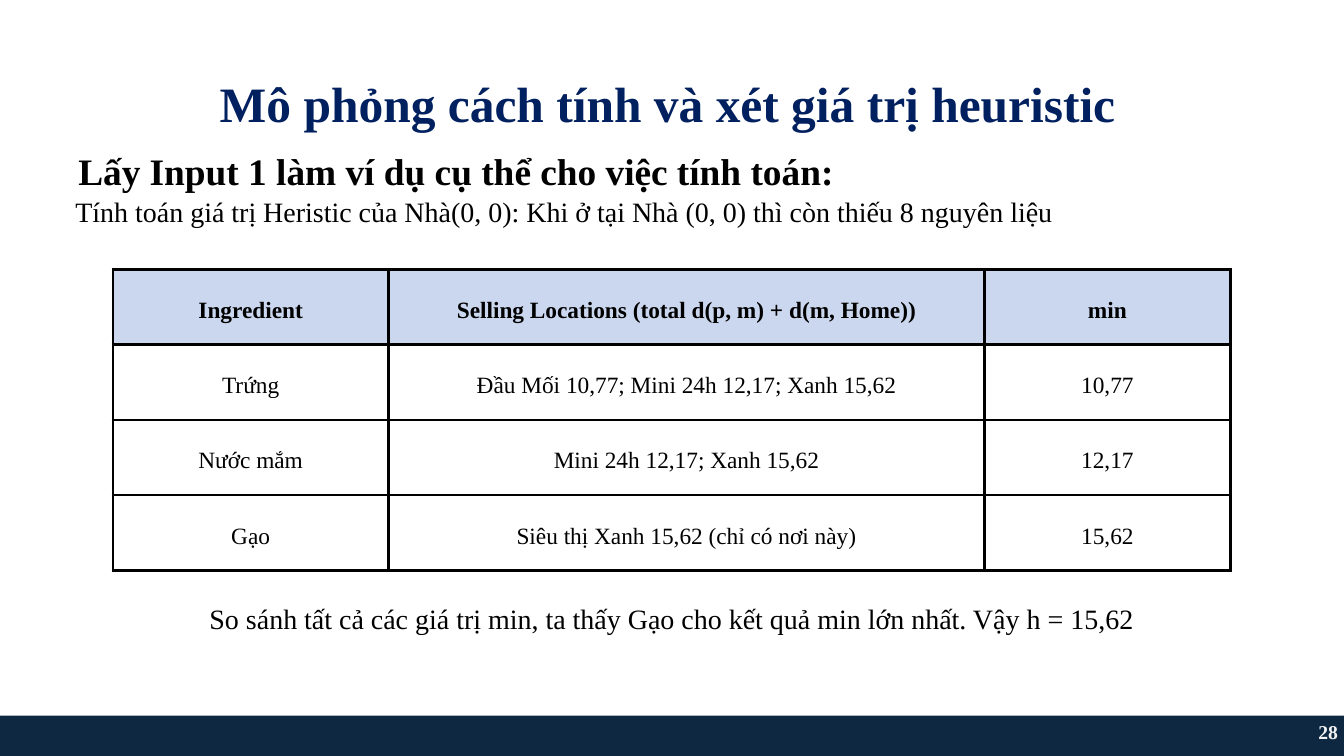
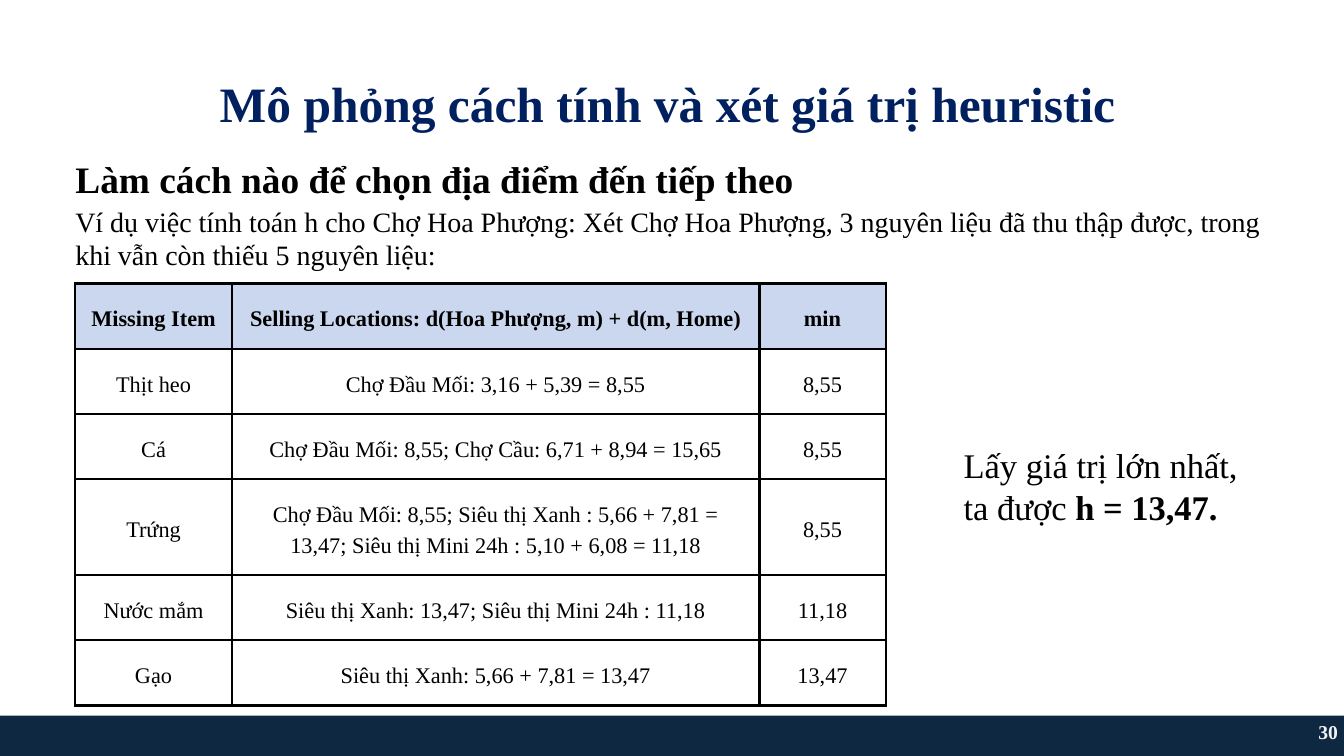
"""Build two slides that work through the heuristic values with tables."""
from lxml import etree
from pptx import Presentation
from pptx.dml.color import RGBColor
from pptx.enum.shapes import MSO_SHAPE
from pptx.enum.text import MSO_ANCHOR, PP_ALIGN
from pptx.oxml import parse_xml
from pptx.util import Inches, Pt

LEFT, MID, RIGHT = PP_ALIGN.LEFT, PP_ALIGN.CENTER, PP_ALIGN.RIGHT
TOP, CENTER = MSO_ANCHOR.TOP, MSO_ANCHOR.MIDDLE
RECT = MSO_SHAPE.RECTANGLE
FONT = "Times New Roman"
HUES = {"band": "0E2841", "title": "002060", "head": "CBD7EE",
        "ink": "000000", "page": "F2F2F2"}
NS = "http://schemas.openxmlformats.org/drawingml/2006/main"
TITLE = "Mô phỏng cách tính và xét giá trị heuristic"


def write(frame, text, size=30, hue="ink", bold=False, align=LEFT,
          lead=1.2, pad=0, tail=""):
    """Fill a frame with one paragraph, with an optional bold tail."""
    frame.word_wrap = True
    frame.margin_left = frame.margin_right = Inches(pad)
    frame.margin_top = frame.margin_bottom = Inches(pad)
    para = frame.paragraphs[0]
    para.alignment = align
    para.line_spacing = Pt(size * lead)
    for part, heavy in ((text, bold), (tail, True)):
        if part:
            run = para.add_run()
            run.text = part
            run.font.name = FONT
            run.font.size = Pt(size)
            run.font.bold = heavy
            run.font.color.rgb = RGBColor.from_string(HUES[hue])


def place(slide, text, box, anchor=TOP, **style):
    """Add a text box at left, top, width, height."""
    frame = slide.shapes.add_textbox(*map(Inches, box)).text_frame
    frame.vertical_anchor = anchor
    write(frame, text, **style)


pages = [
    {
        "page": "28",
        "at": (1.68, 4.01),
        "cols": [4.1, 8.87, 3.66],
        "heights": [1.12] * 4,
        "size": 25, "pad": 0.21, "line": 3,
        "rows": [
            ("Ingredient", "Selling Locations (total d(p, m) + d(m, Home))", "min"),
            ("Trứng", "Đầu Mối 10,77; Mini 24h 12,17; Xanh 15,62", "10,77"),
            ("Nước mắm", "Mini 24h 12,17; Xanh 15,62", "12,17"),
            ("Gạo", "Siêu thị Xanh 15,62 (chỉ có nơi này)", "15,62"),
        ],
        "texts": [
            ("Lấy Input 1 làm ví dụ cụ thể cho việc tính toán:",
             (1.15, 2.2, 11.27, 0.68), {"size": 40, "bold": True, "align": MID}),
            ("Tính toán giá trị Heristic của Nhà(0, 0): "
             "Khi ở tại Nhà (0, 0) thì còn thiếu 8 nguyên liệu",
             (1.12, 2.9, 14.56, 0.53), {"align": MID}),
            ("So sánh tất cả các giá trị min, ta thấy Gạo cho kết quả min lớn nhất. "
             "Vậy h = 15,62",
             (3.1, 8.95, 13.8, 0.53), {"align": MID}),
        ],
    },
    {
        "page": "30",
        "at": (1.12, 4.22),
        "cols": [2.33, 7.85, 1.88],
        "heights": [0.97, 0.97, 0.97, 1.43, 0.97, 0.97],
        "size": 23.9, "pad": 0.2, "line": 2.86,
        "rows": [
            ("Missing Item", "Selling Locations: d(Hoa Phượng, m) + d(m, Home)", "min"),
            ("Thịt heo", "Chợ Đầu Mối: 3,16 + 5,39 = 8,55", "8,55"),
            ("Cá", "Chợ Đầu Mối: 8,55; Chợ Cầu: 6,71 + 8,94 = 15,65", "8,55"),
            ("Trứng", "Chợ Đầu Mối: 8,55; Siêu thị Xanh : 5,66 + 7,81 = 13,47; "
             "Siêu thị Mini 24h : 5,10 + 6,08 = 11,18", "8,55"),
            ("Nước mắm", "Siêu thị Xanh: 13,47; Siêu thị Mini 24h : 11,18", "11,18"),
            ("Gạo", "Siêu thị Xanh: 5,66 + 7,81 = 13,47", "13,47"),
        ],
        "texts": [
            ("Làm cách nào để chọn địa điểm đến tiếp theo",
             (1.11, 2.32, 10.71, 0.68), {"size": 40, "bold": True, "align": MID}),
            ("Ví dụ việc tính toán h cho Chợ Hoa Phượng: Xét Chợ Hoa Phượng, "
             "3 nguyên liệu đã thu thập được, trong khi vẫn còn thiếu 5 nguyên liệu:",
             (1.12, 3.04, 17.75, 1.03), {}),
            ("Lấy giá trị lớn nhất, ta được ",
             (14.34, 6.61, 4.53, 1.26), {"size": 37, "tail": "h = 13,47."}),
        ],
    },
]

deck = Presentation()
deck.slide_width, deck.slide_height = Inches(20), Inches(11.25)

for data in pages:
    slide = deck.slides.add_slide(deck.slide_layouts[6])
    band = slide.shapes.add_shape(RECT, 0, Inches(10.65), Inches(20), Inches(0.6))
    band.shadow.inherit = False
    band.fill.solid()
    band.fill.fore_color.rgb = RGBColor.from_string(HUES["band"])
    band.line.fill.background()
    place(slide, data["page"], (15.41, 10.59, 4.5, 0.61), CENTER,
          size=21, hue="page", bold=True, align=RIGHT)
    place(slide, TITLE, (3.27, 1.09, 13.46, 0.91), size=53, hue="title", bold=True)

    rows, cols, heights = data["rows"], data["cols"], data["heights"]
    area = (*data["at"], sum(cols), sum(heights))
    grid = slide.shapes.add_table(len(rows), len(cols), *map(Inches, area)).table
    grid.horz_banding = False
    for col, width in zip(grid.columns, cols):
        col.width = Inches(width)
    for r, row in enumerate(rows):
        grid.rows[r].height = Inches(heights[r])
        for c, text in enumerate(row):
            cell = grid.cell(r, c)
            cell.vertical_anchor = CENTER
            cell.margin_left = cell.margin_right = Inches(data["pad"])
            cell.margin_top = cell.margin_bottom = Inches(data["pad"])
            write(cell.text_frame, text, size=data["size"], bold=r == 0,
                  align=MID, lead=1.4, pad=data["pad"])
            if r == 0:
                cell.fill.solid()
                cell.fill.fore_color.rgb = RGBColor.from_string(HUES["head"])
            else:
                cell.fill.background()
            props = cell._tc.get_or_add_tcPr()
            for i, side in enumerate("LRTB"):
                edge = parse_xml(f'<a:ln{side} xmlns:a="{NS}" w="{Pt(data["line"])}"/>')
                fill = etree.SubElement(edge, f"{{{NS}}}solidFill")
                etree.SubElement(fill, f"{{{NS}}}srgbClr", val=HUES["ink"])
                props.insert(i, edge)

    for text, box, style in data["texts"]:
        place(slide, text, box, **style)

deck.save("out.pptx")
